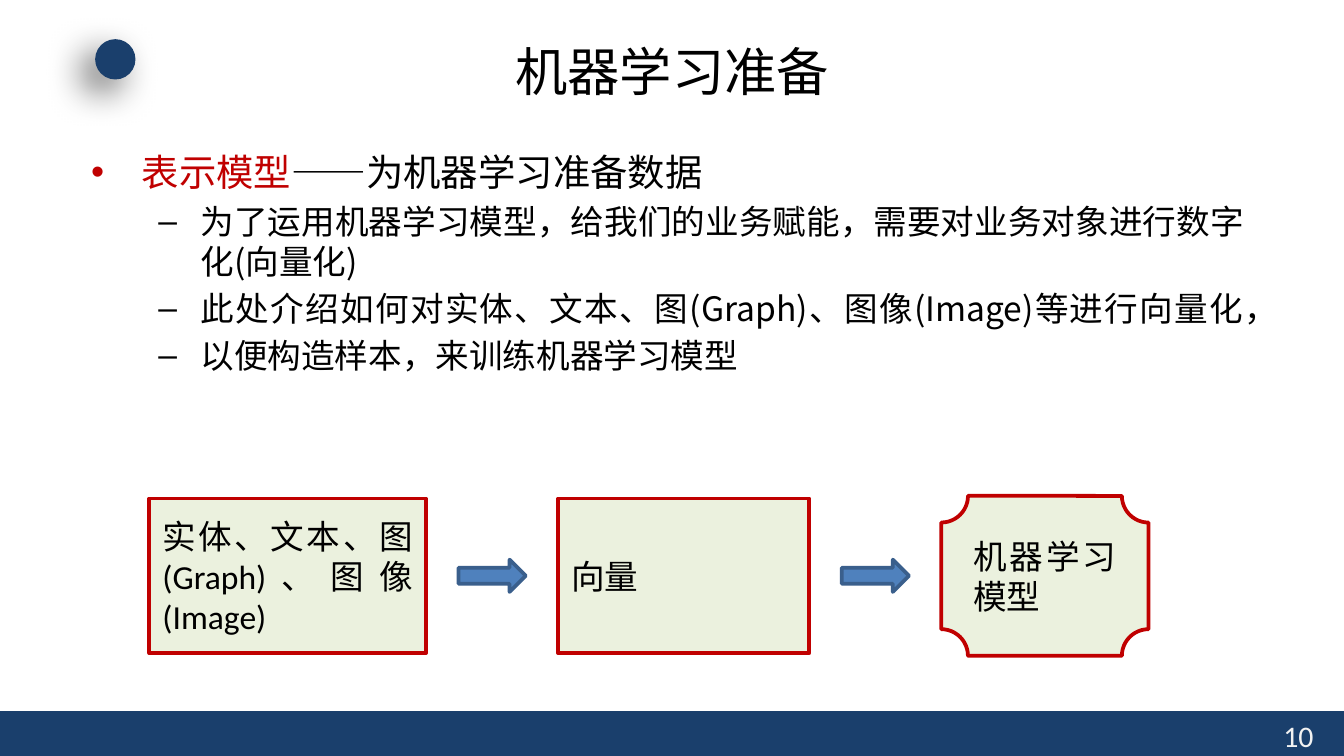
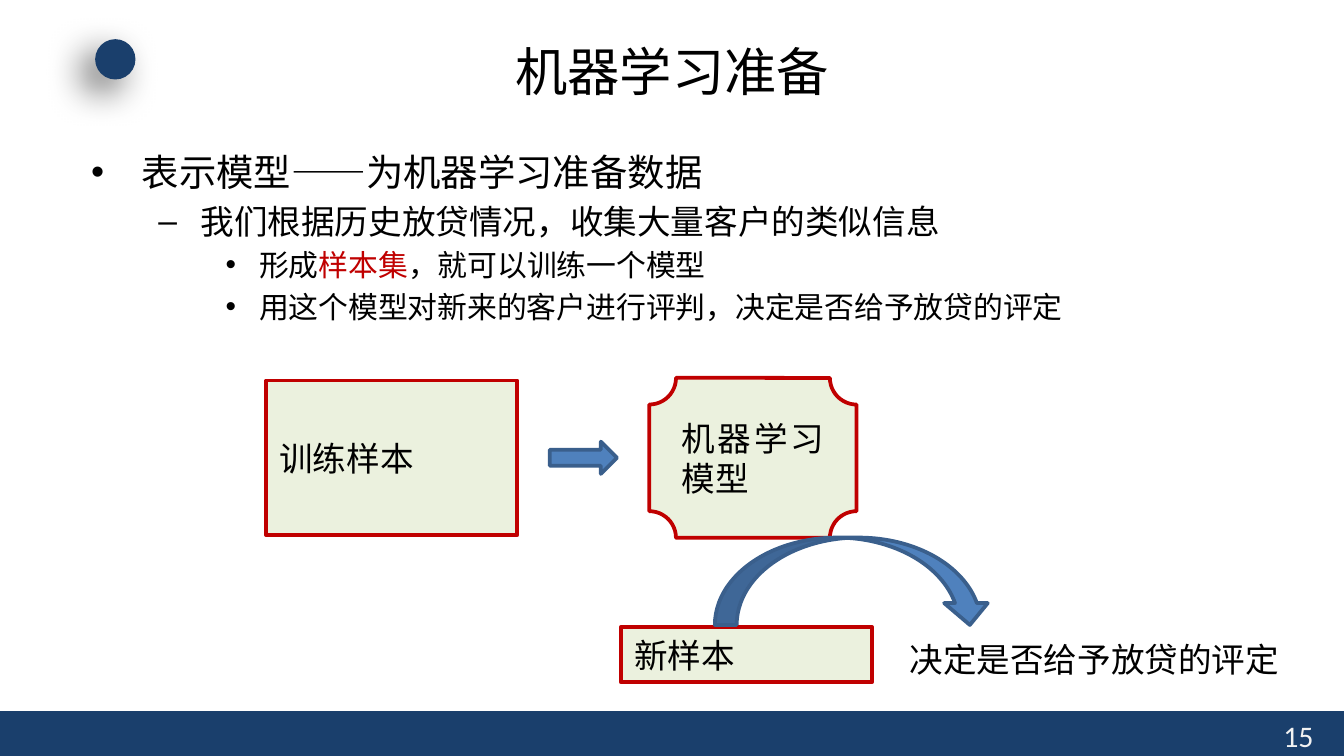
from lxml import etree
from pptx import Presentation
from pptx import util as u
from pptx.dml.color import RGBColor
from pptx.enum import shapes, text
from pptx.oxml import parse_xml
from pptx.oxml.ns import nsdecls, qn

NAVY = RGBColor(0x1A, 0x3F, 0x6C)
BLACK = RGBColor(0, 0, 0)
RED = RGBColor(0xC0, 0, 0)
PALE_GREEN = RGBColor(0xEB, 0xF1, 0xDE)
BLUE = RGBColor(0x4F, 0x81, 0xBD)
DARK_BLUE = RGBColor(0x3A, 0x5F, 0x8C)
PAGE_GRAY = RGBColor(0xF2, 0xF2, 0xF2)
LATIN, HAN = "Calibri", "Noto Sans CJK SC"

Pt = u.Pt
Kind = shapes.MSO_SHAPE
JUSTIFY = text.PP_ALIGN.JUSTIFY
WIDTH, HEIGHT = 720, 405
BAND_TOP = 381
GAP = 17.35
ARROW_WIDTH, ARROW_HEIGHT = 36, 17.3

# Bullet, text size, left indent and hanging indent of each outline level
LEVELS = [("•", 20, 27, 27), ("–", 18, 58.5, 22.5), ("•", 16, 90, 18)]

SAMPLE_WIDTH = 134.6
MODEL = (Kind.PLAQUE, 111, 85.7, "机器学习模型")

PAGES = [
    {
        "number": "10",
        "outline": [
            (0, [("表示模型", RED), ("——为机器学习准备数据", BLACK)]),
            (1, [("为了运用机器学习模型，给我们的业务赋能，需要对业务对象进行数字化(向量化)", BLACK)]),
            (1, [("此处介绍如何对实体、文本、图(Graph)、图像(Image)等进行向量化，", BLACK)]),
            (1, [("以便构造样本，来训练机器学习模型", BLACK)]),
        ],
        "flow_left": 80,
        "flow_middle": 308.5,
        "flow": [
            (Kind.RECTANGLE, 148.3, 82.8, "实体、文本、图(Graph)、图像(Image)"),
            (Kind.RECTANGLE, SAMPLE_WIDTH, 82.8, "向量"),
            MODEL,
        ],
    },
    {
        "number": "15",
        "outline": [
            (0, [("表示模型——为机器学习准备数据", BLACK)]),
            (1, [("我们根据历史放贷情况，收集大量客户的类似信息", BLACK)]),
            (2, [("形成", BLACK), ("样本集", RED), ("，就可以训练一个模型", BLACK)]),
            (2, [("用这个模型对新来的客户进行评判，决定是否给予放贷的评定", BLACK)]),
        ],
        "flow_left": 142.6,
        "flow_middle": 245.3,
        "flow": [(Kind.RECTANGLE, SAMPLE_WIDTH, 82.8, "训练样本"), MODEL],
    },
]


def add_block(slide, kind, left, top, width, height, fill, edge=None, label=""):
    """Add a filled preset shape, outlined and labelled if asked."""
    block = slide.shapes.add_shape(kind, Pt(left), Pt(top), Pt(width), Pt(height))
    block.shadow.inherit = False
    block.fill.solid()
    block.fill.fore_color.rgb = fill
    if edge is None:
        block.line.fill.background()
    else:
        block.line.color.rgb = edge
        block.line.width = Pt(2)
    if label:
        block.text_frame.text = label
        block.text_frame.vertical_anchor = text.MSO_ANCHOR.MIDDLE
        caption = block.text_frame.paragraphs[0]
        caption.alignment = JUSTIFY
        caption.runs[0].font.size = Pt(18)
        caption.runs[0].font.name = LATIN
        caption.runs[0].font.color.rgb = BLACK
    return block


def add_line(slide, left, top, width, height, words, size, font, color=BLACK):
    """Add a text box holding one line and return its frame."""
    frame = slide.shapes.add_textbox(Pt(left), Pt(top), Pt(width), Pt(height)).text_frame
    frame.text = words
    run = frame.paragraphs[0].runs[0]
    run.font.size = Pt(size)
    run.font.name = font
    run.font.color.rgb = color
    return frame


deck = Presentation()
deck.slide_width, deck.slide_height = Pt(WIDTH), Pt(HEIGHT)

for page in PAGES:
    slide = deck.slides.add_slide(deck.slide_layouts[6])

    # Footer band, page number, corner dot and title
    add_block(slide, Kind.RECTANGLE, 0, BAND_TOP, WIDTH, HEIGHT - BAND_TOP, NAVY)
    add_line(slide, 680.4, BAND_TOP, 36, 21.6, page["number"], 16, LATIN, PAGE_GRAY)
    dot = add_block(slide, Kind.OVAL, 51, 21, 21.6, 21.6, NAVY)
    dot.element.spPr.find(qn("a:effectLst")).append(parse_xml(
        f'<a:outerShdw {nsdecls("a")} blurRad="{Pt(20)}" dist="{Pt(10)}" dir="8100000">'
        '<a:srgbClr val="000000"><a:alpha val="60000"/></a:srgbClr></a:outerShdw>'))
    title = add_line(slide, 117, 16.6, 486, 42.5, "机器学习准备", 28, HAN)
    title.word_wrap = True
    title.vertical_anchor = text.MSO_ANCHOR.MIDDLE
    title.paragraphs[0].alignment = text.PP_ALIGN.CENTER

    # Outline
    outline = slide.shapes.add_textbox(Pt(41.8), Pt(76.3), Pt(632), Pt(296.6)).text_frame
    outline.word_wrap = True
    for index, (level, parts) in enumerate(page["outline"]):
        bullet, size, indent, hanging = LEVELS[level]
        point = outline.add_paragraph() if index else outline.paragraphs[0]
        point.level = level
        if index:
            point.alignment = JUSTIFY
            point.space_before = Pt(size * 0.2)
        properties = point._p.get_or_add_pPr()
        properties.set("marL", str(Pt(indent)))
        properties.set("indent", str(Pt(-hanging)))
        etree.SubElement(properties, qn("a:buFont")).set("typeface", "Arial")
        etree.SubElement(properties, qn("a:buChar")).set("char", bullet)
        for words, color in parts:
            run = point.add_run()
            run.text = words
            run.font.size = Pt(size)
            run.font.name = HAN
            run.font.color.rgb = color

    # Flow: steps on one middle line, with an arrow between neighbours
    left, middle = page["flow_left"], page["flow_middle"]
    for index, (kind, width, height, label) in enumerate(page["flow"]):
        if index:
            add_block(slide, Kind.RIGHT_ARROW, left + GAP, middle - ARROW_HEIGHT / 2,
                      ARROW_WIDTH, ARROW_HEIGHT, BLUE, DARK_BLUE)
            left += ARROW_WIDTH + 2 * GAP
        add_block(slide, kind, left, middle - height / 2, width, height,
                  PALE_GREEN, RED, label)
        left += width

# The last slide also shows a new sample passing through the model
add_block(slide, Kind.RECTANGLE, 332.6, 336, SAMPLE_WIDTH, 29.5, PALE_GREEN, RED, "新样本")
add_block(slide, Kind.CURVED_DOWN_ARROW, 383, 288, 148.3, 46.8, BLUE, DARK_BLUE)
verdict = add_line(slide, 480.2, 339, 214.6, 29, "决定是否给予放贷的评定", 18, LATIN)
verdict.word_wrap = False
verdict.auto_size = text.MSO_AUTO_SIZE.SHAPE_TO_FIT_TEXT

deck.save("out.pptx")
